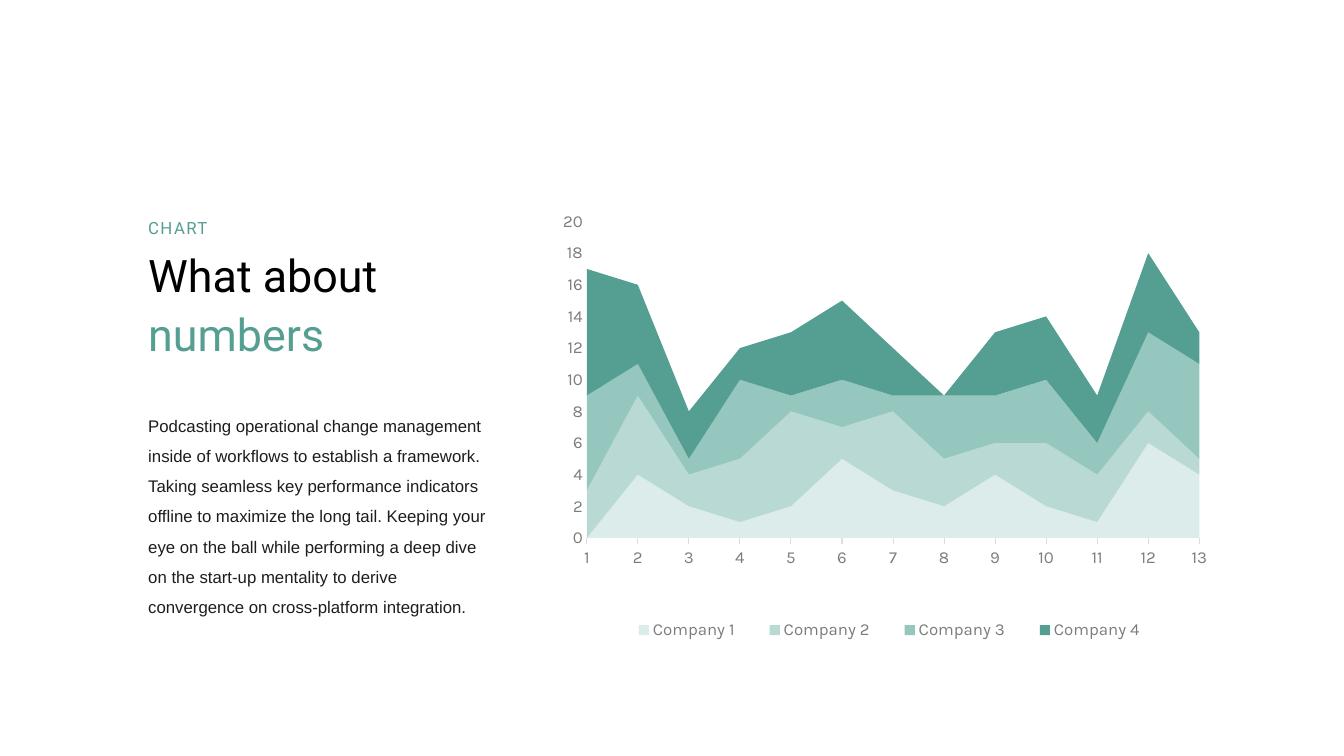
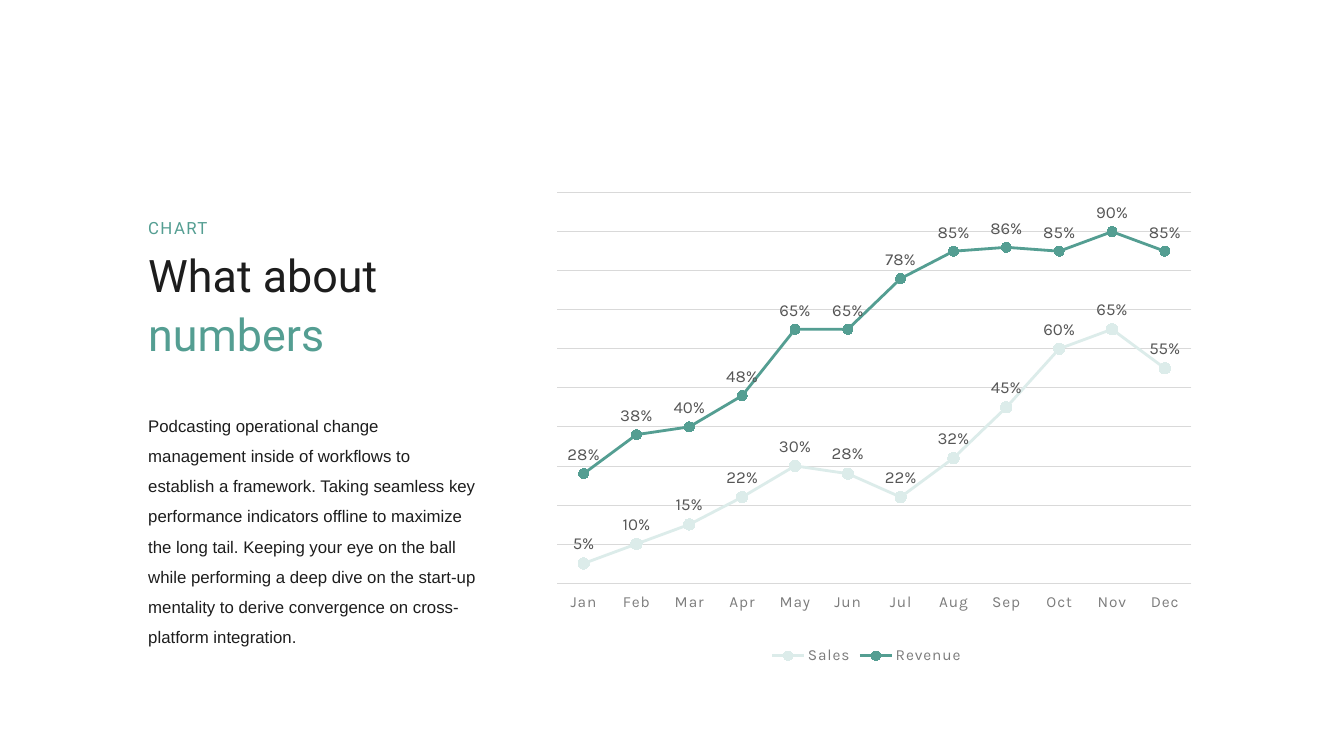
import pptx
import pptx.chart.data
import pptx.dml.color
import pptx.enum.chart
import pptx.enum.text
import pptx.oxml.ns
import pptx.util
from lxml import etree

Inches = pptx.util.Inches
Pt = pptx.util.Pt
qn = pptx.oxml.ns.qn
enum = pptx.enum.chart

DARK, GREY, TEAL = "1D1D1D", "7C7C7C", "549E92"
TINTS = ["DCECEA", "B9DAD4", "96C7BF", TEAL]
LEFT = 1.47
BODY = (
    "Podcasting operational change management inside of workflows to "
    "establish a framework. Taking seamless key performance indicators "
    "offline to maximize the long tail. Keeping your eye on the ball while "
    "performing a deep dive on the start-up mentality to derive convergence "
    "on cross-platform integration."
)
FIRMS = {
    "Company 1": [0, 4, 2, 1, 2, 5, 3, 2, 4, 2, 1, 6, 4],
    "Company 2": [3, 5, 2, 4, 6, 2, 5, 3, 2, 4, 3, 2, 1],
    "Company 3": [6, 2, 1, 5, 1, 3, 1, 4, 3, 4, 2, 5, 6],
    "Company 4": [8, 5, 3, 2, 4, 5, 3, 0, 4, 4, 3, 5, 2],
}
MONTHS = "Jan Feb Mar Apr May Jun Jul Aug Sep Oct Nov Dec".split()
YEAR = {
    "Sales": [0.05, 0.1, 0.15, 0.22, 0.3, 0.28,
              0.22, 0.32, 0.45, 0.6, 0.65, 0.55],
    "Revenue": [0.28, 0.38, 0.4, 0.48, 0.65, 0.65,
                0.78, 0.85, 0.86, 0.85, 0.9, 0.85],
}


def rgb(code):
    return pptx.dml.color.RGBColor.from_string(code)


def paint(fill, color):
    fill.solid()
    fill.fore_color.rgb = rgb(color)


def style(font, size, color, face="Karla"):
    font.size = Pt(size)
    font.name = face
    font.color.rgb = rgb(color)


def write(slide, lines, place, size=12, face="Roboto", space=1.2,
          spread=0, low=False):
    """Add a text box; lines is a list of (text, color) split by breaks."""
    frame = slide.shapes.add_textbox(*map(Inches, place)).text_frame
    frame.word_wrap = True
    frame.auto_size = pptx.enum.text.MSO_AUTO_SIZE.SHAPE_TO_FIT_TEXT
    frame.margin_left = frame.margin_right = 0
    frame.margin_top = frame.margin_bottom = 0
    anchor = pptx.enum.text.MSO_ANCHOR
    frame.vertical_anchor = anchor.BOTTOM if low else anchor.TOP
    para = frame.paragraphs[0]
    para.line_spacing = space
    for index, (text, color) in enumerate(lines):
        if index:
            para.add_line_break()
        run = para.add_run()
        run.text = text
        style(run.font, size, color, face)
        if spread:
            run._r.get_or_add_rPr().set("spc", str(spread))


def intro(slide, ink, wide, body):
    """Add the left column: label, two-line title and body text."""
    write(slide, [("CHART", TEAL)], (LEFT, 2.12, 1.98, 0.24),
          spread=100, low=True)
    write(slide, [("What about ", ink), ("numbers", TEAL)],
          (LEFT, 2.4, wide, 1.18), size=32, space=1.1)
    write(slide, [(BODY, DARK)], (LEFT, 4.02, *body), face="Arial", space=1.5)


def layout(owner, index, box, inner=False):
    """Pin a chart part at fractions of the chart's size."""
    for old in owner.findall(qn("c:layout")):
        owner.remove(old)
    node = etree.Element(qn("c:layout"))
    owner.insert(index, node)
    manual = etree.SubElement(node, qn("c:manualLayout"))
    pairs = [("layoutTarget", "inner")] if inner else []
    pairs += [("xMode", "edge"), ("yMode", "edge")]
    pairs += zip("xywh", box)
    for tag, value in pairs:
        etree.SubElement(manual, qn("c:" + tag)).set("val", str(value))


def plot(slide, kind, cats, rows, place, area, size, top, step, form):
    """Add a chart with the shared fonts, axes and legend."""
    data = pptx.chart.data.CategoryChartData(number_format=form)
    data.categories = cats
    for name, vals in rows.items():
        data.add_series(name, vals)
    chart = slide.shapes.add_chart(kind, *map(Inches, place), data).chart
    chart.has_title = False
    style(chart.font, 11, DARK, "Roboto")
    chart.has_legend = True
    chart.legend.position = enum.XL_LEGEND_POSITION.BOTTOM
    chart.legend.include_in_layout = False
    style(chart.legend.font, size, GREY)
    base, scale = chart.category_axis, chart.value_axis
    for axis in (base, scale):
        style(axis.tick_labels.font, size, GREY)
        axis.has_major_gridlines = False
    base.major_tick_mark = enum.XL_TICK_MARK.OUTSIDE
    scale.major_tick_mark = enum.XL_TICK_MARK.NONE
    scale.minimum_scale, scale.maximum_scale = 0, top
    scale.major_unit = step
    scale.format.line.fill.background()
    layout(chart.element.find(".//" + qn("c:plotArea")), 0, area, True)
    return chart


def areas(slide):
    cats = [str(n) for n in range(1, 14)]
    chart = plot(slide, enum.XL_CHART_TYPE.AREA_STACKED, cats, FIRMS,
                 (5.07, 1.17, 7.5, 5.71), (0.1, 0.18, 0.81, 0.55),
                 12, 20, 2, "General")
    line = chart.category_axis.format.line
    line.width = Pt(0.75)
    paint(line.fill, "DDDDDD")
    root = chart.element
    root.find(".//" + qn("c:crossBetween")).set("val", "midCat")
    layout(root.find(".//" + qn("c:legend")), 1, (0.13, 0.86, 0.74, 0.06))
    for row, tint in zip(chart.plots[0].series, TINTS):
        paint(row.format.fill, tint)


def lines(slide):
    chart = plot(slide, enum.XL_CHART_TYPE.LINE_MARKERS, MONTHS, YEAR,
                 (4.76, 1.61, 7.67, 5.03), (0.1, 0.06, 0.82, 0.77),
                 11, 1, 0.1, "0%")
    chart.category_axis.format.line.fill.background()
    scale = chart.value_axis
    scale.visible = False
    scale.has_major_gridlines = True
    grid = scale.major_gridlines.format.line
    grid.width = Pt(0.5)
    paint(grid.fill, "D9D9D9")
    for tag in ("c:catAx", "c:legend"):
        for part in chart.element.find(".//" + qn(tag)).iter(qn("a:defRPr")):
            part.set("spc", "50")
    looks = zip(chart.plots[0].series, (TINTS[0], TEAL), (8, 7))
    for row, tint, size in looks:
        row.smooth = False
        row.format.line.width = Pt(2)
        paint(row.format.line.fill, tint)
        row.marker.style = enum.XL_MARKER_STYLE.CIRCLE
        row.marker.size = size
        paint(row.marker.format.fill, tint)
        paint(row.marker.format.line.fill, tint)
        tags = row.data_labels
        tags.show_value = True
        tags.position = enum.XL_LABEL_POSITION.ABOVE
        tags.number_format = "0%"
        tags.number_format_is_linked = False
        style(tags.font, 12, "565656")


def main():
    deck = pptx.Presentation()
    deck.slide_width, deck.slide_height = Inches(13.33), Inches(7.5)
    pages = [
        (areas, "000000", 3.61, (3.38, 2.12)),
        (lines, DARK, 3.96, (3.29, 2.47)),
    ]
    for draw, ink, wide, body in pages:
        slide = deck.slides.add_slide(deck.slide_layouts[6])
        draw(slide)
        intro(slide, ink, wide, body)
    deck.save("out.pptx")


if __name__ == "__main__":
    main()
